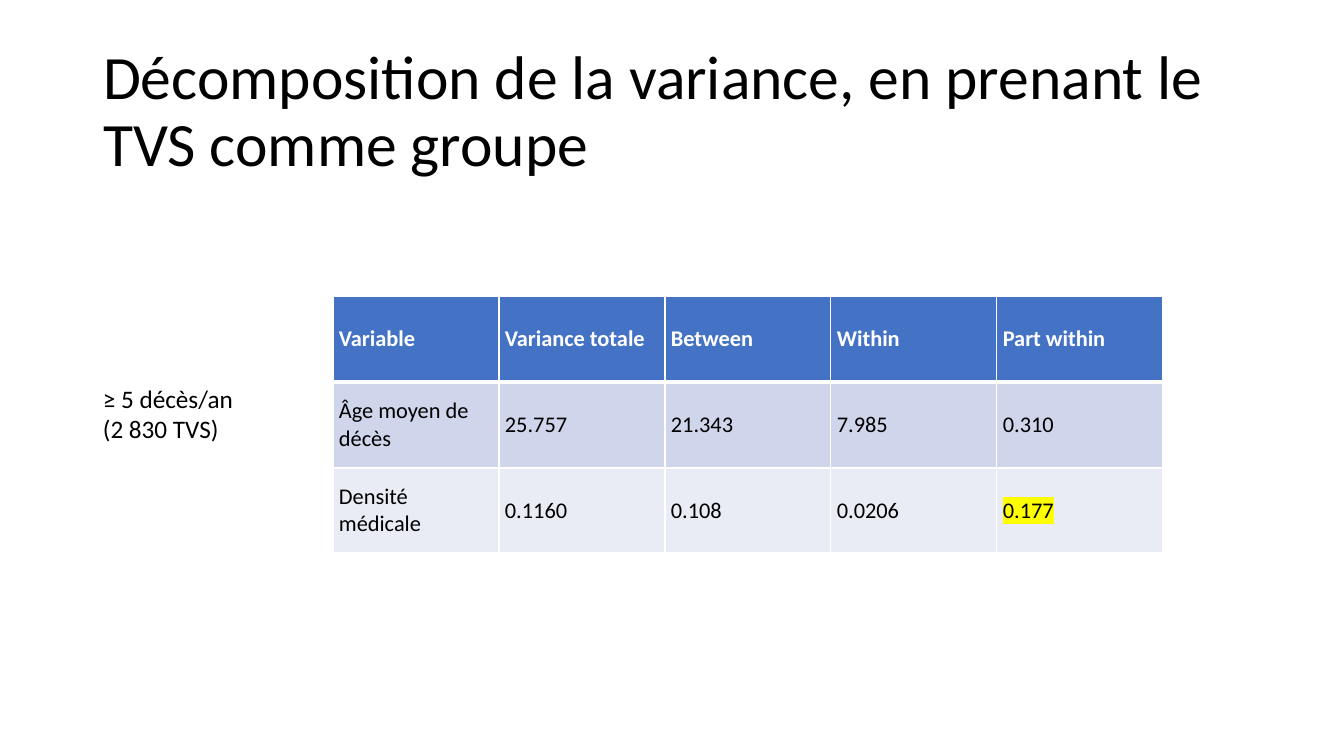
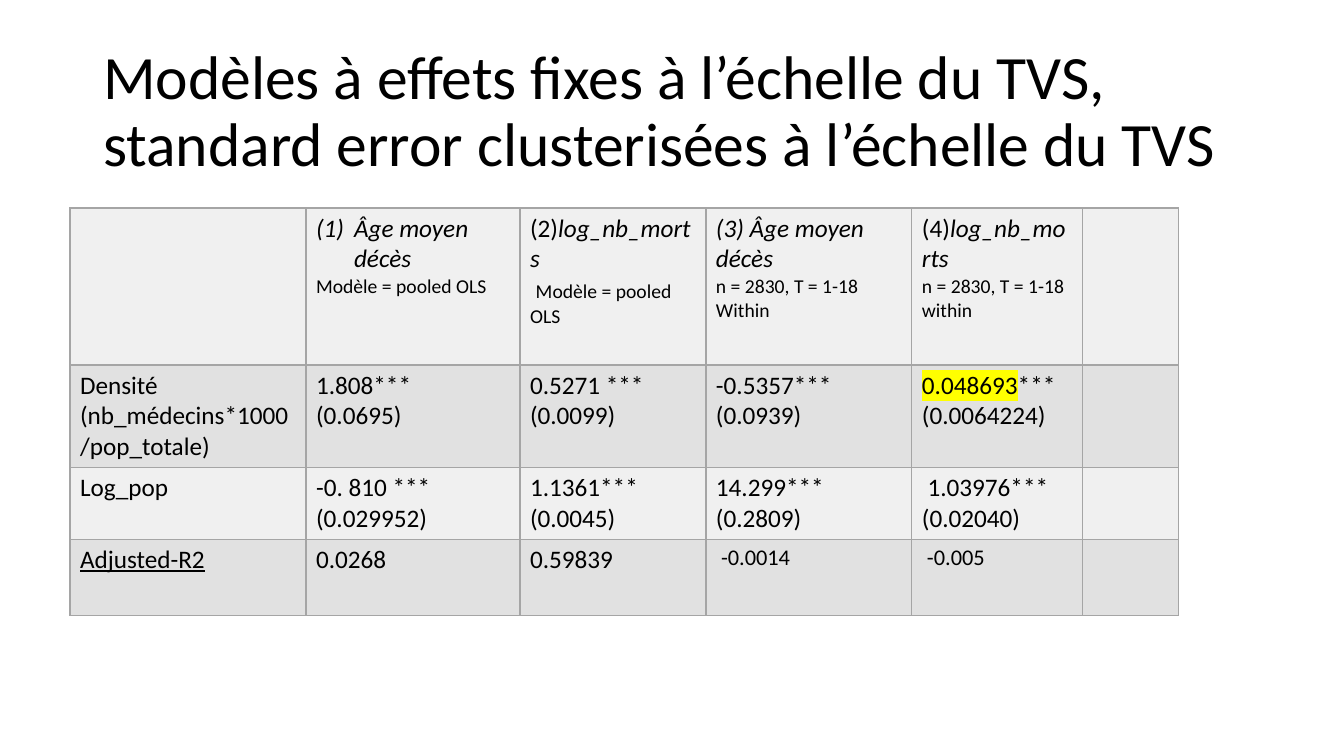
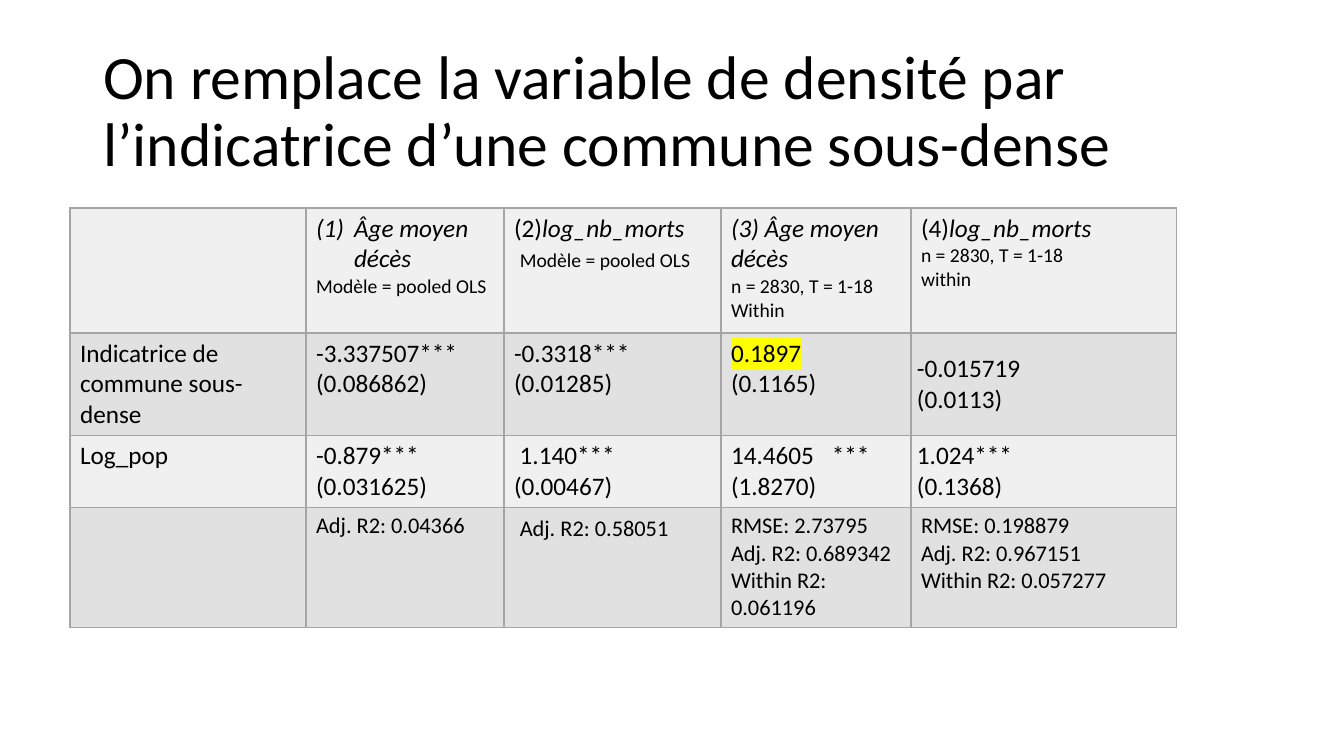
"""Three slides of variance and fixed-effects results."""
from dataclasses import dataclass, field

from lxml import etree
from pptx import Presentation
from pptx import util as u
from pptx.dml.color import RGBColor
from pptx.enum import text
from pptx.oxml import ns

SCALE = 914400 / 100.8


@dataclass(frozen=True)
class Look:
    """Fills and rule of one kind of table."""
    head: str
    odd: str
    even: str
    rule: str
    head_rule: float = 1


@dataclass(frozen=True)
class Theme:
    """Colours, type sizes and text styles of the deck."""
    font: str = "Calibri"
    ink: str = "000000"
    paper: str = "FFFFFF"
    marker: str = "FFFF00"
    blue: Look = Look("4472C4", "CFD5EA", "E9EBF5", "FFFFFF", 3)
    grey: Look = Look("F0F0F0", "E1E1E1", "F0F0F0", "A5A5A5")
    styles: dict = field(default_factory=lambda: {
        "title": {"size": u.Pt(44)},
        "body": {"size": u.Pt(18)},
        "italic": {"size": u.Pt(18), "italic": True},
        "numbered": {"size": u.Pt(18), "italic": True},
        "underlined": {"size": u.Pt(18), "underline": True},
        "marked": {"size": u.Pt(18)},
        "note": {"size": u.Pt(14)},
        "stat": {"size": u.Pt(16)},
        "stat marked": {"size": u.Pt(16)},
        "head": {"size": u.Pt(16), "bold": True},
    })


THEME = Theme()

MODELS = [
    [("Âge moyen décès", "numbered"), ("Modèle = pooled OLS", "note")],
    [["(2)", ("log_nb_morts", "italic")], [" ", ("Modèle = pooled OLS", "note")]],
    [("(3) Âge moyen décès", "italic"), ("n = 2830, T = 1-18", "note"),
     ("Within", "note")],
    [["(4)", ("log_nb_morts", "italic")], ("n = 2830, T = 1-18", "note"),
     ("within", "note")],
]


def px(value):
    """Turn pixels into EMU."""
    return u.Emu(round(value * SCALE))


def set_all(target, values):
    """Set each named attribute of the target."""
    for name, value in values.items():
        setattr(target, name, value)


def add_xml(parent, tag, **attributes):
    """Append a DrawingML element."""
    return etree.SubElement(parent, ns.qn(tag), attributes)


def add_span(para, words, style):
    """Add one run in a named style."""
    span = para.add_run()
    span.text = words
    set_all(span.font, THEME.styles[style])
    colour = THEME.paper if style == "head" else THEME.ink
    span.font.color.rgb = RGBColor.from_string(colour)
    span.font.name = THEME.font
    if "marked" in style:
        highlight = etree.Element(ns.qn("a:highlight"))
        add_xml(highlight, "a:srgbClr", val=THEME.marker)
        span.font._element.find(ns.qn("a:solidFill")).addnext(highlight)


def number(para):
    """Give a paragraph a hanging (1) number."""
    properties = para._p.get_or_add_pPr()
    properties.set("marL", str(px(38)))
    properties.set("indent", str(px(-38)))
    add_xml(properties, "a:buFont", typeface="+mj-lt")
    add_xml(properties, "a:buAutoNum", type="arabicParenBoth")


def write(frame, lines, style="body"):
    """Write lines; each is a string, a (words, style) pair or a list of these."""
    for index, line in enumerate(lines):
        para = frame.add_paragraph() if index else frame.paragraphs[0]
        for piece in line if isinstance(line, list) else [line]:
            words, kind = piece if isinstance(piece, tuple) else (piece, style)
            add_span(para, words, kind)
            if kind == "numbered":
                number(para)


def add_page(deck, title):
    """Add a slide with its title in place."""
    page = deck.slides.add_slide(deck.slide_layouts[5])
    box = page.shapes.title
    set_all(box, {"left": px(93), "top": px(40), "width": px(1159), "height": px(146)})
    frame = box.text_frame
    set_all(frame, {"word_wrap": True, "auto_size": text.MSO_AUTO_SIZE.NONE,
                    "vertical_anchor": text.MSO_ANCHOR.MIDDLE})
    write(frame, [title], "title")
    set_all(frame.paragraphs[0], {"alignment": text.PP_ALIGN.LEFT, "line_spacing": 0.9})
    return page


def add_label(page, left, top, width, height, lines):
    """Add a plain text box."""
    frame = page.shapes.add_textbox(*map(px, (left, top, width, height))).text_frame
    frame.word_wrap = True
    write(frame, lines)


def add_borders(cell, look, row):
    """Rule the four sides of a cell."""
    thick_side = {0: "B", 1: "T"}.get(row)
    for side in "LRTB":
        points = look.head_rule if side == thick_side else 1
        line = add_xml(cell._tc.get_or_add_tcPr(), f"a:ln{side}", w=str(u.Pt(points)))
        add_xml(add_xml(line, "a:solidFill"), "a:srgbClr", val=look.rule)


def tighten(cell):
    """Centre a cell vertically with narrow margins."""
    set_all(cell, {"vertical_anchor": text.MSO_ANCHOR.MIDDLE,
                   "margin_left": px(6), "margin_right": px(6),
                   "margin_top": px(2), "margin_bottom": px(2)})


def add_grid(page, left, top, widths, heights, rows, look,
             styles=("body", "body"), is_tight=lambda row, column: False):
    """Add a table; styles are those of the header and of the other rows."""
    place = map(px, (left, top, sum(widths), sum(heights)))
    table = page.shapes.add_table(len(heights), len(widths), *place).table
    set_all(table, {"first_row": False, "horz_banding": False})
    for column, width in zip(table.columns, widths):
        column.width = px(width)
    for row, (height, contents) in enumerate(zip(heights, rows)):
        table.rows[row].height = px(height)
        fill = look.head if row == 0 else look.odd if row % 2 else look.even
        for column, lines in enumerate(contents):
            cell = table.cell(row, column)
            add_borders(cell, look, row)
            cell.fill.solid()
            cell.fill.fore_color.rgb = RGBColor.from_string(fill)
            if is_tight(row, column):
                tighten(cell)
            write(cell.text_frame, lines, styles[min(row, 1)])


def variance_slide(deck):
    """Variance split within and between groups."""
    page = add_page(deck, "Décomposition de la variance, en prenant le TVS comme groupe")
    rows = [
        [["Variable"], ["Variance totale"], ["Between"], ["Within"], ["Part within"]],
        [["Âge moyen de décès"], ["25.757"], ["21.343"], ["7.985"], ["0.310"]],
        [["Densité médicale"], ["0.1160"], ["0.108"], ["0.0206"],
         [("0.177", "stat marked")]],
    ]
    add_grid(page, 333, 296, [166] * 5, [86, 86, 85], rows, THEME.blue,
             ("head", "stat"), lambda row, column: True)
    add_label(page, 93, 378, 228, 72, ["≥ 5 décès/an", "(2 830 TVS)"])


def fixed_effects_slide(deck):
    """Models with the density variable."""
    page = add_page(deck, "Modèles à effets fixes à l’échelle du TVS, "
                          "standard error clusterisées à l’échelle du TVS")
    rows = [
        [[], *MODELS, []],
        [["Densité (nb_médecins*1000/pop_totale)"], ["1.808***", "(0.0695)"],
         ["0.5271 ***", "(0.0099)"], ["-0.5357***", "(0.0939)"],
         [[("0.048693", "marked"), "***"], "(0.0064224)"], []],
        [["Log_pop"], ["-0. 810 ***", "(0.029952)"], ["1.1361***", "(0.0045)"],
         ["14.299***", "(0.2809)"], [" 1.03976***", "(0.02040)"], []],
        [[("Adjusted-R2", "underlined")], ["0.0268"], ["0.59839"],
         [(" -0.0014", "stat")], [(" -0.005", "stat")], []],
    ]
    add_grid(page, 70, 208, [236, 214, 186, 206, 171, 96], [157, 102, 72, 76],
             rows, THEME.grey)


def indicator_slide(deck):
    """Models with the low-density indicator."""
    page = add_page(deck, "On remplace la variable de densité par "
                          "l’indicatrice d’une commune sous-dense")
    rows = [
        [[], *MODELS],
        [["Indicatrice de commune sous-dense"], ["-3.337507***", "(0.086862)"],
         ["-0.3318***", "(0.01285)"], [("0.1897", "marked"), "(0.1165)"],
         ["-0.015719", "(0.0113)"]],
        [["Log_pop"], ["-0.879***", "(0.031625)"], [" 1.140***", "(0.00467)"],
         ["14.4605\t***", "(1.8270)"], ["1.024***", "(0.1368)"]],
        [[], [("Adj. R2: 0.04366", "stat")], [[" ", ("Adj. R2: 0.58051", "stat")]],
         [(line, "stat") for line in
          ("RMSE: 2.73795", "Adj. R2: 0.689342", "Within R2: 0.061196")],
         [(line, "stat") for line in
          ("RMSE: 0.198879", "Adj. R2: 0.967151", "Within R2: 0.057277")]],
    ]
    add_grid(page, 70, 208, [236, 198, 217, 190, 266], [125, 102, 72, 120],
             rows, THEME.grey,
             is_tight=lambda row, column: column == 4 and row in (1, 2))


def main():
    """Build and save the deck."""
    deck = Presentation()
    set_all(deck, {"slide_width": px(1344), "slide_height": px(756)})
    for build in (variance_slide, fixed_effects_slide, indicator_slide):
        build(deck)
    deck.save("out.pptx")


main()
